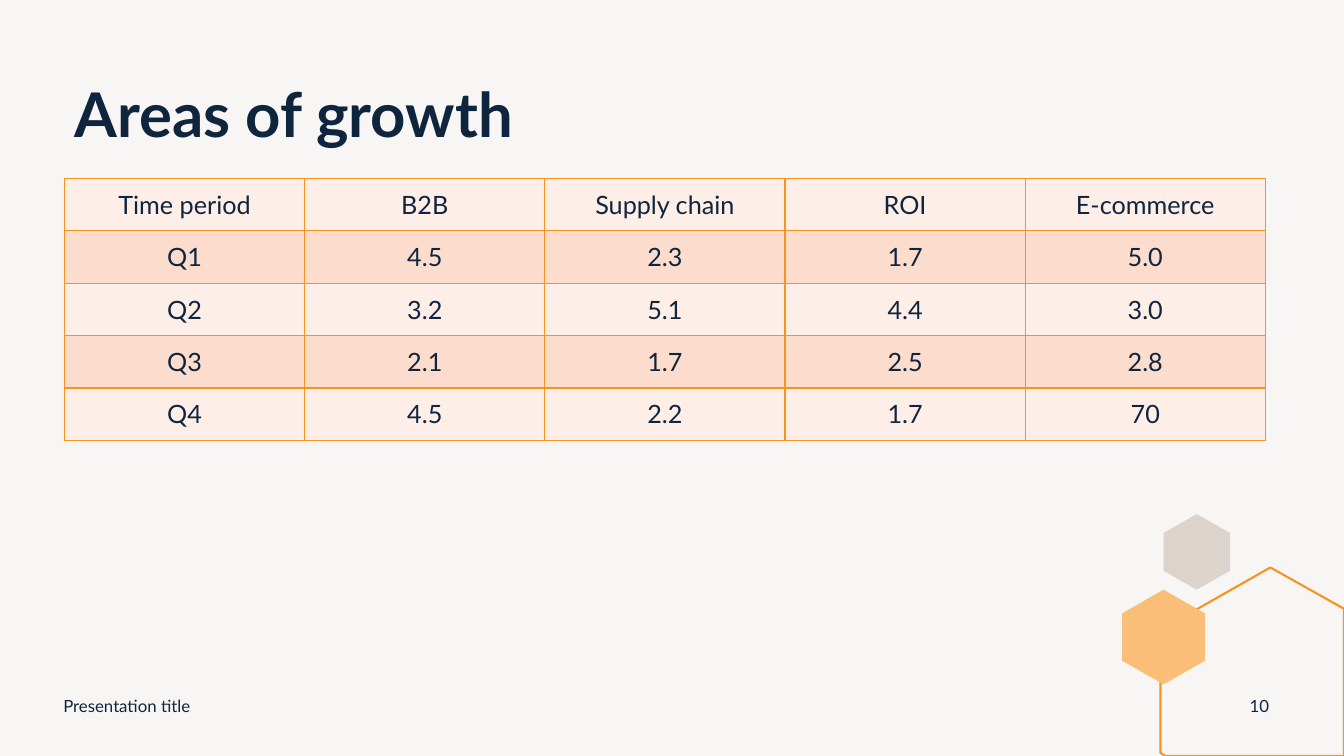
from dataclasses import dataclass

from lxml import etree
from pptx import Presentation
from pptx.dml.color import RGBColor
from pptx.enum.text import MSO_ANCHOR, PP_ALIGN
from pptx.oxml.ns import qn
from pptx.util import Inches, Pt

LEFT, CENTER = PP_ALIGN.LEFT, PP_ALIGN.CENTER
TOP, MIDDLE = MSO_ANCHOR.TOP, MSO_ANCHOR.MIDDLE


@dataclass(frozen=True)
class Theme:
    font: str = "Lato"
    back: str = "F8F6F5"
    ink: str = "0F253E"
    line: str = "F79320"
    amber: str = "FABE79"
    stone: str = "DCD3CC"
    bands: tuple = ("FDEEE8", "FCDCCD")
    head: int = 44
    body: int = 18
    small: int = 12


class Deck:
    def __init__(self, theme):
        self.theme = theme
        self.deck = Presentation()
        self.deck.slide_width = Inches(13.33)
        self.deck.slide_height = Inches(7.5)
        self.slide = self.deck.slides.add_slide(self.deck.slide_layouts[5])
        self.paint(self.slide.background.fill, theme.back)

    def paint(self, fill, color):
        fill.solid()
        fill.fore_color.rgb = RGBColor.from_string(color)

    def style(self, frame, text, size, align=LEFT, bold=False):
        frame.text = text
        par = frame.paragraphs[0]
        par.alignment = align
        font = par.runs[0].font
        font.name, font.size, font.bold = self.theme.font, Pt(size), bold
        font.color.rgb = RGBColor.from_string(self.theme.ink)
        return par

    def title(self, text, x, y, w, h):
        box = self.slide.shapes.title
        box.left, box.top = Inches(x), Inches(y)
        box.width, box.height = Inches(w), Inches(h)
        par = self.style(box.text_frame, text, self.theme.head, bold=True)
        par.line_spacing = 0.9
        box.text_frame.vertical_anchor = TOP

    def label(self, text, x, y, w, h, align=LEFT):
        box = self.slide.shapes.add_textbox(Inches(x), Inches(y), Inches(w), Inches(h))
        box.text_frame.word_wrap = True
        box.text_frame.vertical_anchor = MIDDLE
        self.style(box.text_frame, text, self.theme.small, align)

    def outline(self, points, fill=None, line=None):
        dots = [(Inches(x), Inches(y)) for x, y in points]
        pen = self.slide.shapes.build_freeform(*dots[0])
        pen.add_line_segments(dots[1:], close=True)
        shape = pen.convert_to_shape()
        shape.shadow.inherit = False
        if fill:
            self.paint(shape.fill, fill)
        else:
            shape.fill.background()
        if line:
            self.paint(shape.line.fill, line)
            shape.line.width = Pt(1.5)
        else:
            shape.line.fill.background()

    def hexagon(self, x, y, w, h, fill):
        mid, right = x + w / 2, x + w
        high, low = y + h / 4, y + h * 3 / 4
        self.outline([(mid, y), (right, high), (right, low),
                      (mid, y + h), (x, low), (x, high)], fill)

    def border(self, cell):
        props = cell._tc.get_or_add_tcPr()
        for side in ("a:lnL", "a:lnR", "a:lnT", "a:lnB"):
            edge = etree.SubElement(props, qn(side), w=str(Pt(1)))
            fill = etree.SubElement(edge, qn("a:solidFill"))
            etree.SubElement(fill, qn("a:srgbClr"), val=self.theme.line)

    def table(self, rows, x, y, w, h):
        grid = self.slide.shapes.add_table(
            len(rows), len(rows[0]), Inches(x), Inches(y), Inches(w), Inches(h)).table
        grid.first_row = grid.horz_banding = False
        for r, row in enumerate(rows):
            for c, text in enumerate(row):
                cell = grid.cell(r, c)
                self.border(cell)
                self.paint(cell.fill, self.theme.bands[r % 2])
                cell.vertical_anchor = MIDDLE
                self.style(cell.text_frame, text, self.theme.body, CENTER)


def main():
    theme = Theme()
    deck = Deck(theme)

    # Corner hexagons
    deck.hexagon(11.54, 5.1, 0.66, 0.75, theme.stone)
    deck.outline([(12.6, 5.63), (13.33, 6.04), (13.33, 7.5), (11.56, 7.5),
                  (11.51, 7.47), (11.51, 6.25)], line=theme.line)
    deck.hexagon(11.13, 5.85, 0.82, 0.94, theme.amber)

    # Title and growth table
    deck.title("Areas of growth", 0.64, 0.79, 11.91, 1.55)
    deck.table([
        ("Time period", "B2B", "Supply chain", "ROI", "E-commerce"),
        ("Q1", "4.5", "2.3", "1.7", "5.0"),
        ("Q2", "3.2", "5.1", "4.4", "3.0"),
        ("Q3", "2.1", "1.7", "2.5", "2.8"),
        ("Q4", "4.5", "2.2", "1.7", "70"),
    ], 0.64, 1.77, 11.91, 2.6)

    # Footer
    deck.label("Presentation title", 0.53, 6.8, 4.5, 0.4)
    deck.label("10", 12.24, 6.8, 0.5, 0.4, CENTER)

    deck.deck.save("out.pptx")


if __name__ == "__main__":
    main()
